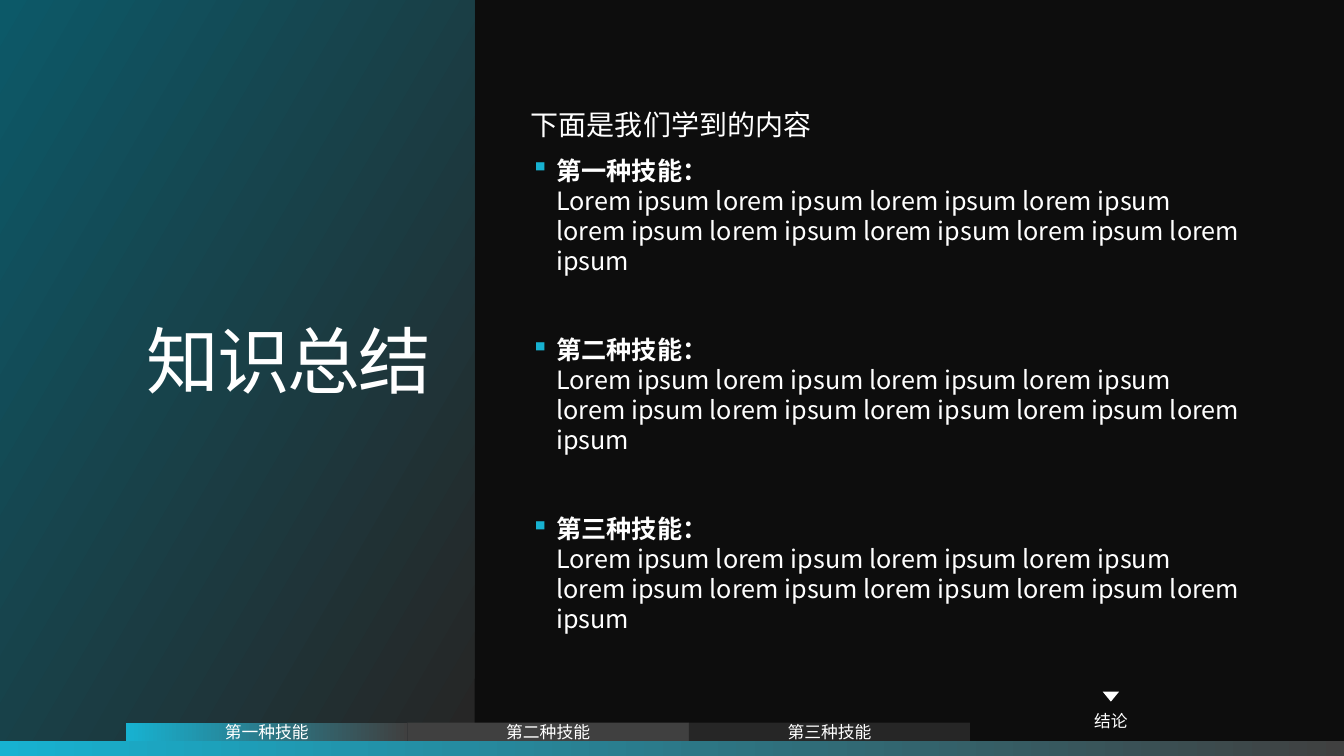
"""Build a dark summary slide with a title panel, three skills and a progress strip."""
from lxml import etree
from pptx import Presentation
from pptx.dml.color import RGBColor
from pptx.enum.shapes import MSO_SHAPE
from pptx.enum.text import MSO_ANCHOR, PP_ALIGN
from pptx.oxml.ns import qn
from pptx.util import Cm, Pt

FONT = "Noto Sans CJK SC"
COLORS = {
    "back": "0D0D0D", "cyan": "17B2D1", "teal": "0C5968",
    "grey": "404040", "dark": "262626", "white": "FFFFFF",
}
TITLE = "知识总结"
INTRO = "下面是我们学到的内容"
DETAIL = " ".join(["Lorem ipsum"] + ["lorem ipsum"] * 8)
SKILLS = [("第一种技能", DETAIL), ("第二种技能", DETAIL), ("第三种技能", DETAIL)]
TAB_FILLS = [("cyan", "grey"), ("grey",), ("dark",)]
CONCLUSION = "结论"

SLIDE_W, SLIDE_H = 33.87, 19.05
PANEL_W, PANEL_H = 11.96, 18.67
TAB_LEFT, TAB_W, TAB_H = 3.18, 7.09, 0.46
CONCLUSION_H = 0.99
POINTER_W, POINTER_H = 0.41, 0.25


def rgb(name):
    return RGBColor.from_string(COLORS[name])


def paint(fill, names, angle=0, start=0):
    if len(names) == 1:
        fill.solid()
        fill.fore_color.rgb = rgb(names[0])
        return
    fill.gradient()
    fill.gradient_angle = angle
    for stop, name, position in zip(fill.gradient_stops, names, (start, 1)):
        stop.color.rgb = rgb(name)
        stop.position = position


def style(paragraph, size, align=PP_ALIGN.LEFT):
    paragraph.alignment = align
    font = paragraph.font
    font.size, font.name = Pt(size), FONT
    font.color.rgb = rgb("white")
    defaults = paragraph._p.pPr.find(qn("a:defRPr"))
    etree.SubElement(defaults, qn("a:ea")).set("typeface", FONT)
    return defaults


def set_insets(frame, horizontal, vertical):
    frame.margin_left = frame.margin_right = Cm(horizontal)
    frame.margin_top = frame.margin_bottom = Cm(vertical)
    frame.vertical_anchor = MSO_ANCHOR.MIDDLE
    frame.word_wrap = True


def add_block(slide, kind, box, names, label=""):
    block = slide.shapes.add_shape(kind, *map(Cm, box))
    block.shadow.inherit = False
    block.line.fill.background()
    paint(block.fill, names)
    if label:
        set_insets(block.text_frame, 0, 0)
        paragraph = block.text_frame.paragraphs[0]
        paragraph.text = label
        style(paragraph, 12, PP_ALIGN.CENTER)
    return block


def add_title(slide):
    title = slide.shapes.title
    title.left, title.top = Cm(0), Cm(0)
    title.width, title.height = Cm(PANEL_W), Cm(PANEL_H)
    paint(title.fill, ("dark", "teal"), angle=150, start=0.01)
    set_insets(title.text_frame, 1.09, 0)
    paragraph = title.text_frame.paragraphs[0]
    paragraph.text = TITLE
    paragraph.line_spacing = 0.7
    style(paragraph, 52, PP_ALIGN.RIGHT).set("spc", "-150")


def add_bullet(paragraph, defaults):
    paragraph._p.pPr.set("marL", str(Cm(0.64)))
    paragraph._p.pPr.set("indent", str(-Cm(0.64)))
    bullet_color = etree.Element(qn("a:buClr"))
    etree.SubElement(bullet_color, qn("a:srgbClr")).set("val", COLORS["cyan"])
    bullet = etree.Element(qn("a:buChar"))
    bullet.set("char", "▪")
    defaults.addprevious(bullet_color)
    defaults.addprevious(bullet)


def add_summary(slide):
    summary = slide.shapes.add_textbox(Cm(13.08), Cm(1.02), Cm(18.47), Cm(16.64))
    frame = summary.text_frame
    set_insets(frame, 0.3, 0.3)
    intro = frame.paragraphs[0]
    intro.text = INTRO
    intro.line_spacing = Pt(24)
    style(intro, 20)
    for index, (skill, detail) in enumerate(SKILLS):
        paragraph = frame.add_paragraph()
        paragraph.line_spacing = Pt(21.6)
        paragraph.space_before = Pt(41.5 if index else 10)
        heading = paragraph.add_run()
        heading.text = f"{skill}："
        heading.font.bold = True
        paragraph.add_line_break()
        paragraph.add_run().text = detail
        add_bullet(paragraph, style(paragraph, 18))


def add_progress(slide):
    rectangle = MSO_SHAPE.RECTANGLE
    add_block(slide, rectangle, (0, PANEL_H, SLIDE_W, SLIDE_H - PANEL_H), ("cyan", "grey"))
    for index, ((skill, _), names) in enumerate(zip(SKILLS, TAB_FILLS)):
        box = (TAB_LEFT + index * TAB_W, PANEL_H - TAB_H, TAB_W, TAB_H)
        add_block(slide, rectangle, box, names, skill)
    left, top = TAB_LEFT + len(SKILLS) * TAB_W, PANEL_H - CONCLUSION_H
    add_block(slide, rectangle, (left, top, TAB_W, CONCLUSION_H), ("back",), CONCLUSION)
    pointer_box = (left + (TAB_W - POINTER_W) / 2, top - POINTER_H, POINTER_W, POINTER_H)
    pointer = add_block(slide, MSO_SHAPE.ISOSCELES_TRIANGLE, pointer_box, ("white",))
    pointer.rotation = 180


def main():
    deck = Presentation()
    deck.slide_width, deck.slide_height = Cm(SLIDE_W), Cm(SLIDE_H)
    slide = deck.slides.add_slide(deck.slide_layouts[5])
    paint(slide.background.fill, ("back",))
    add_title(slide)
    add_summary(slide)
    add_progress(slide)
    deck.save("out.pptx")


if __name__ == "__main__":
    main()
